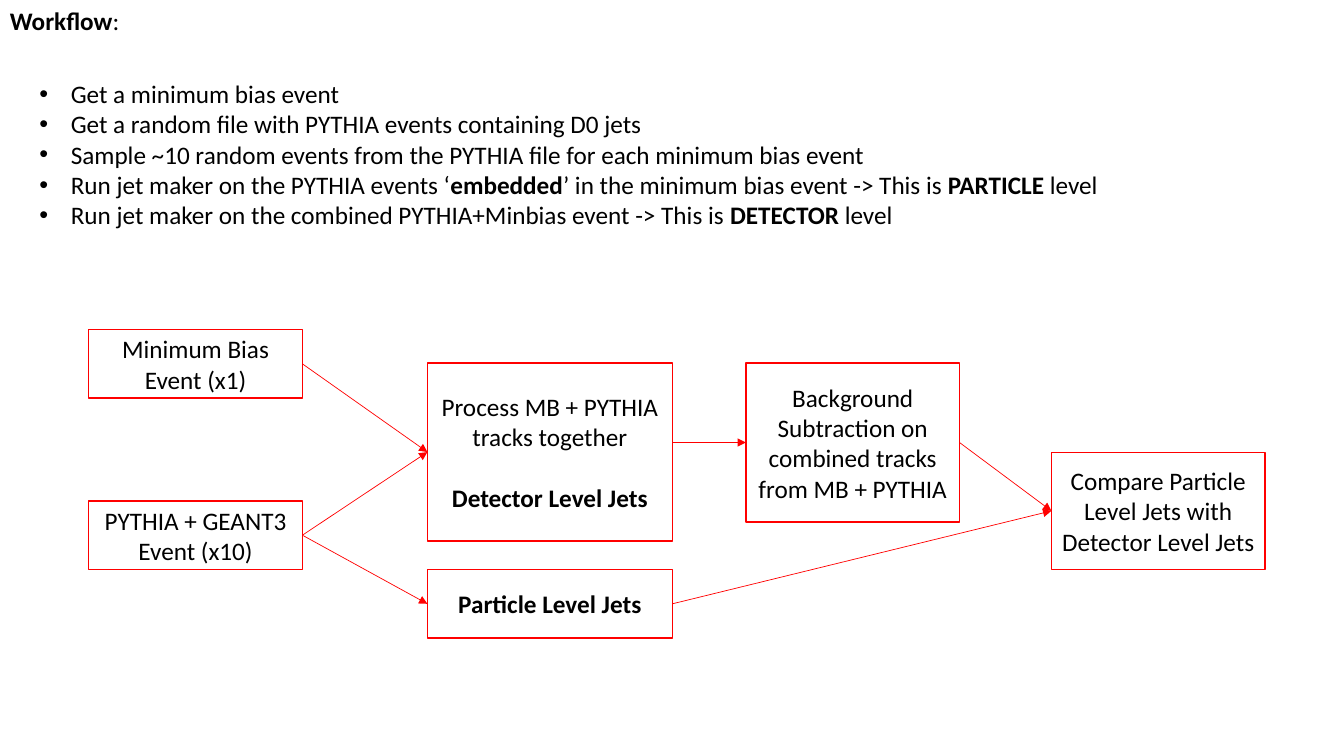
from dataclasses import dataclass

from lxml.etree import SubElement
from pptx import Presentation
from pptx.dml.color import RGBColor
from pptx.enum.shapes import MSO_CONNECTOR, MSO_SHAPE
from pptx.enum.text import MSO_ANCHOR, MSO_AUTO_SIZE, PP_ALIGN
from pptx.oxml.ns import qn
from pptx.util import Pt


@dataclass(frozen=True)
class Theme:
    ink: RGBColor = RGBColor(0x00, 0x00, 0x00)
    paper: RGBColor = RGBColor(0xFF, 0xFF, 0xFF)
    accent: RGBColor = RGBColor(0xFF, 0x00, 0x00)
    font: str = "Calibri"
    size: float = 18
    box_line: float = 1
    arrow_line: float = 0.5
    bullet_indent: float = 22.5


THEME = Theme()
LEFT_SIDE, RIGHT_SIDE = 1, 3  # connection sites of a rectangle

STEPS = [
    "Get a minimum bias event",
    "Get a random file with PYTHIA events containing D0 jets",
    "Sample ~10 random events from the PYTHIA file for each minimum bias event",
    "Run jet maker on the PYTHIA events ‘**embedded**’ in the minimum bias event"
    " -> This is **PARTICLE** level",
    "Run jet maker on the combined PYTHIA+Minbias event -> This is **DETECTOR** level",
]

# Stage: left, top, width, height within the diagram, then its paragraphs
STAGES = {
    "minimum_bias": (0, 0, 152.6, 49, ["Minimum Bias Event (x1)"]),
    "pythia": (0, 122.4, 152.6, 49, ["PYTHIA + GEANT3 Event (x10)"]),
    "particle": (241.9, 171.4, 175, 49, ["**Particle Level Jets**"]),
    "detector": (241.9, 23.8, 175, 127.4,
                 ["Process MB + PYTHIA tracks together", "**Detector Level Jets**"]),
    "background": (469.4, 23.8, 152.6, 113.8,
                   ["Background Subtraction on combined tracks from MB + PYTHIA"]),
    "compare": (687.6, 87.8, 152.6, 83.5,
                ["Compare Particle Level Jets with Detector Level Jets"]),
}

# Source stage, target stage, whether the arrow is kept level
FLOWS = [
    ("pythia", "particle", False),
    ("pythia", "detector", False),
    ("minimum_bias", "detector", False),
    ("detector", "background", True),
    ("background", "compare", False),
    ("particle", "compare", False),
]


def write_text(frame, paragraphs, *, align=PP_ALIGN.LEFT, anchor=MSO_ANCHOR.TOP,
               wrap=True, bullets=False, gap=0):
    """Fill a text frame; **double asterisks** mark bold words."""
    frame.word_wrap = wrap
    frame.vertical_anchor = anchor
    for index, text in enumerate(paragraphs):
        paragraph = frame.add_paragraph() if index else frame.paragraphs[0]
        paragraph.alignment = align
        if index and gap:
            paragraph.space_before = Pt(gap)
        if bullets:
            properties = paragraph._p.get_or_add_pPr()
            indent = Pt(THEME.bullet_indent)
            properties.set("marL", str(indent))
            properties.set("indent", str(-indent))
            SubElement(properties, qn("a:buFont"), typeface="Arial")
            SubElement(properties, qn("a:buChar"), char="•")
        for position, words in enumerate(text.split("**")):
            if words:
                run = paragraph.add_run()
                run.text = words
                run.font.name = THEME.font
                run.font.size = Pt(THEME.size)
                run.font.color.rgb = THEME.ink
                run.font.bold = position % 2 == 1


def add_text_block(slide, box, paragraphs, **text_format):
    frame = slide.shapes.add_textbox(*map(Pt, box)).text_frame
    write_text(frame, paragraphs, wrap=False, **text_format)
    frame.auto_size = MSO_AUTO_SIZE.SHAPE_TO_FIT_TEXT


def add_stage(slide, box, paragraphs):
    stage = slide.shapes.add_shape(MSO_SHAPE.RECTANGLE, *map(Pt, box))
    stage.shadow.inherit = False
    stage.fill.solid()
    stage.fill.fore_color.rgb = THEME.paper
    stage.line.color.rgb = THEME.accent
    stage.line.width = Pt(THEME.box_line)
    write_text(stage.text_frame, paragraphs, align=PP_ALIGN.CENTER,
               anchor=MSO_ANCHOR.MIDDLE, gap=22)
    return stage


def add_flow(slide, source, target, level):
    middle = target.top + target.height // 2
    flow = slide.shapes.add_connector(
        MSO_CONNECTOR.STRAIGHT, source.left + source.width, middle, target.left, middle)
    if not level:
        flow.begin_connect(source, RIGHT_SIDE)
    flow.end_connect(target, LEFT_SIDE)
    flow.line.color.rgb = THEME.accent
    flow.line.width = Pt(THEME.arrow_line)
    SubElement(flow.line._get_or_add_ln(), qn("a:tailEnd"), type="triangle")
    SubElement(flow._element.spPr, qn("a:effectLst"))


def add_diagram(slide, box):
    origin_x, origin_y = box[:2]
    stages = {
        key: add_stage(slide, (origin_x + x, origin_y + y, width, height), paragraphs)
        for key, (x, y, width, height, paragraphs) in STAGES.items()
    }
    for source, target, level in FLOWS:
        add_flow(slide, stages[source], stages[target], level)


def main():
    deck = Presentation()
    deck.slide_width, deck.slide_height = Pt(960), Pt(540)
    slide = deck.slides.add_slide(deck.slide_layouts[6])

    # Heading and steps
    add_text_block(slide, (0, 0, 93.6, 29), ["**Workflow**:"])
    add_text_block(slide, (21, 52.5, 772.6, 116.6), STEPS, bullets=True)

    # Flow diagram
    add_diagram(slide, (63.4, 235.4, 840.2, 220.4))
    deck.save("out.pptx")


if __name__ == "__main__":
    main()
